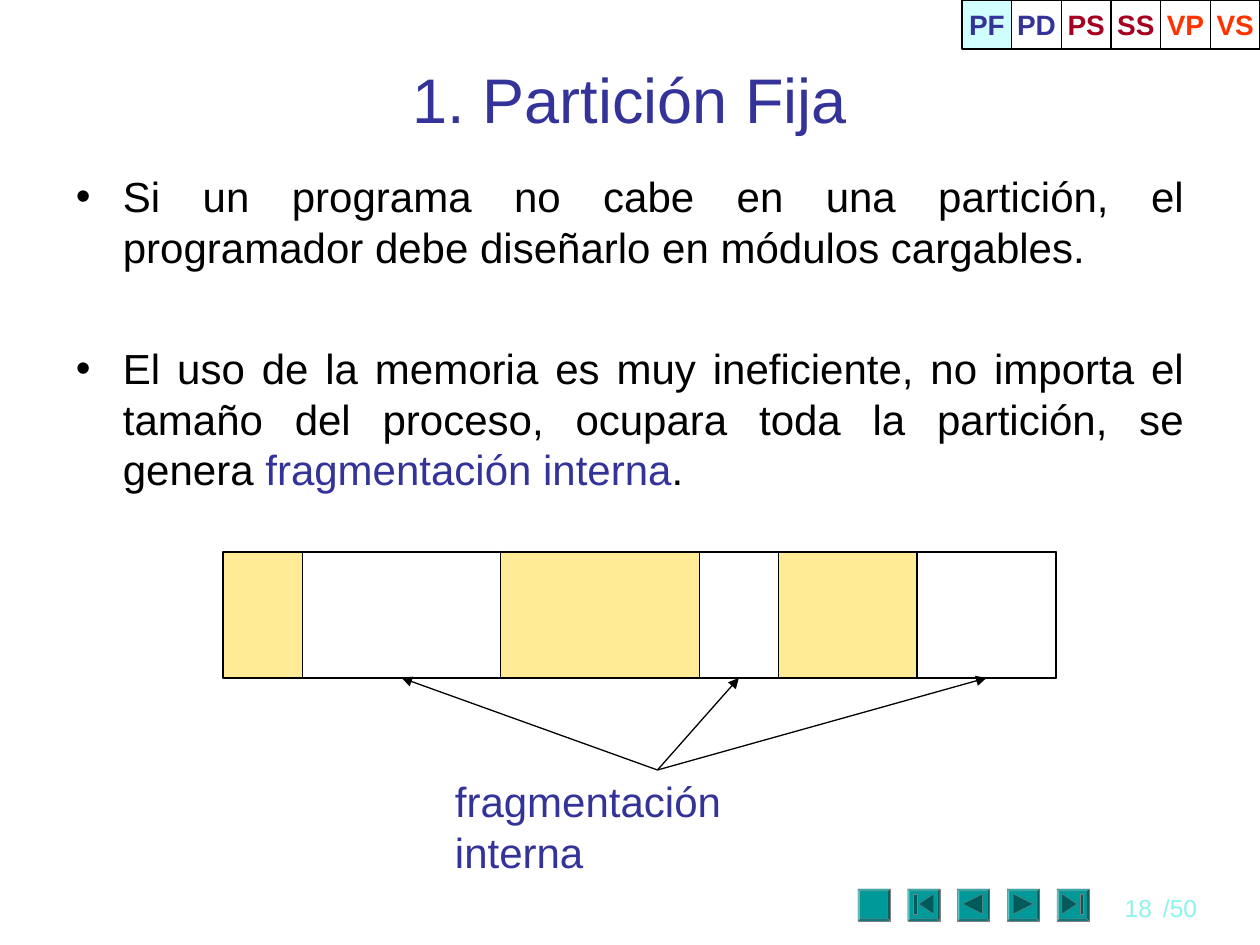
from copy import deepcopy

from lxml.etree import SubElement
from pptx import Presentation
from pptx.dml.color import RGBColor
from pptx.enum.shapes import MSO_CONNECTOR, MSO_SHAPE
from pptx.enum.text import MSO_ANCHOR, PP_ALIGN
from pptx.oxml.ns import qn
from pptx.util import Pt

SCALE = 914400 / 126  # EMU per px
BLACK = RGBColor(0x00, 0x00, 0x00)
WHITE = RGBColor(0xFF, 0xFF, 0xFF)
INDIGO = RGBColor(0x33, 0x33, 0x99)
CRIMSON = RGBColor(0xA5, 0x00, 0x21)
ORANGE = RGBColor(0xFF, 0x33, 0x00)
YELLOW = RGBColor(0xFF, 0xEB, 0x95)
PALE_CYAN = RGBColor(0xD1, 0xFF, 0xFF)
TEAL = RGBColor(0x00, 0x99, 0x99)
GREY = RGBColor(0x80, 0x80, 0x80)
AQUA = RGBColor(0x8C, 0xF4, 0xEA)

INSETS = {"margin_left": 13, "margin_right": 13, "margin_top": 6, "margin_bottom": 6}
TITLE_INSETS = dict.fromkeys(INSETS, 5)

TABS = [("PF", INDIGO), ("PD", INDIGO), ("PS", CRIMSON),
        ("SS", CRIMSON), ("VP", ORANGE), ("VS", ORANGE)]
POINTS = [
    [("Si un programa no cabe en una partición, el programador debe "
      "diseñarlo en módulos cargables.", BLACK)],
    [("El uso de la memoria es muy ineficiente, no importa el tamaño del "
      "proceso, ocupara toda la partición, se genera ", BLACK),
     ("fragmentación interna", INDIGO), (".", BLACK)],
]
FREE_WIDTHS = [198, 79, 139]  # unused end of each partition

# Button icons, as outlines inside a 32 px square
ICONS = [
    [],
    [[(11, 15), (26, 5), (26, 25)], [(6, 5), (9, 5), (9, 25), (6, 25)]],
    [[(5, 15), (25, 5), (25, 25)]],
    [[(6, 5), (26, 15), (6, 25)]],
    [[(20, 15), (5, 25), (5, 5)], [(23, 5), (23, 25), (26, 25), (26, 5)]],
]


def px(length):
    return round(length * SCALE)


def set_all(target, values):
    for name, value in values.items():
        setattr(target, name, value)


def paint(shape, fill, line, width):
    shape.shadow.inherit = False
    shape.fill.solid()
    shape.fill.fore_color.rgb = fill
    shape.line.color.rgb = line
    shape.line.width = Pt(width)


def add_rect(slide, box, fill):
    rect = slide.shapes.add_shape(MSO_SHAPE.RECTANGLE, *map(px, box))
    paint(rect, fill, BLACK, 0.75)
    return rect


def add_run(paragraph, text, size, color, bold=False):
    run = paragraph.add_run()
    run.text = text
    set_all(run.font, {"name": "Arial", "size": Pt(size), "bold": bold})
    run.font.color.rgb = color


def set_frame(frame, insets=INSETS, **values):
    set_all(frame, {side: px(inset) for side, inset in insets.items()})
    set_all(frame, values)


def add_label(slide, box, text, size, color, align=PP_ALIGN.LEFT,
              insets=INSETS, **values):
    label = slide.shapes.add_textbox(*map(px, box))
    set_frame(label.text_frame, insets, **values)
    paragraph = label.text_frame.paragraphs[0]
    paragraph.alignment = align
    add_run(paragraph, text, size, color)
    return label


def add_tabs(slide, left, top, width, height):
    step = width / len(TABS)
    for i, (name, color) in enumerate(TABS):
        tab = add_rect(slide, (left + i * step, top, step, height),
                       WHITE if i else PALE_CYAN)
        set_frame(tab.text_frame, word_wrap=False, vertical_anchor=MSO_ANCHOR.MIDDLE)
        paragraph = tab.text_frame.paragraphs[0]
        paragraph.alignment = PP_ALIGN.CENTER
        add_run(paragraph, name, 16, color, bold=True)


def add_points(slide, *box):
    frame = slide.shapes.add_textbox(*map(px, box)).text_frame
    set_frame(frame, word_wrap=True)
    for i, runs in enumerate(POINTS):
        paragraph = frame.add_paragraph() if i else frame.paragraphs[0]
        set_all(paragraph, {"alignment": PP_ALIGN.JUSTIFY,
                            "line_spacing": Pt(28.7),
                            "space_before": Pt(41 if i else 0)})
        # Hanging bullet
        properties = paragraph._p.get_or_add_pPr()
        properties.set("marL", str(px(47)))
        properties.set("indent", str(-px(47)))
        SubElement(properties, qn("a:buFont"), typeface="Arial")
        SubElement(properties, qn("a:buChar"), char="•")
        for text, color in runs:
            add_run(paragraph, text, 24, color)


def add_arrow(slide, source, target):
    arrow = slide.shapes.add_connector(MSO_CONNECTOR.STRAIGHT, 0, 0, 0, 0)
    arrow.begin_connect(source, 0)
    arrow.end_connect(target, 2)
    arrow.line.color.rgb = BLACK
    arrow.line.width = Pt(0.75)
    SubElement(arrow.line._get_or_add_ln(), qn("a:tailEnd"), type="triangle")
    SubElement(arrow._element.spPr, qn("a:effectLst"))


def add_memory(slide, left, top, width, height):
    bar_height = 126
    step = width / len(FREE_WIDTHS)
    for i in range(len(FREE_WIDTHS)):
        add_rect(slide, (left + i * step, top, step, bar_height), YELLOW)
    free_areas = [
        add_rect(slide, (left + (i + 1) * step - free, top, free, bar_height), WHITE)
        for i, free in enumerate(FREE_WIDTHS)]
    caption = add_label(slide, (left + 219, top + height - 63, 431, 63),
                        "fragmentación interna", 24, INDIGO, word_wrap=False)
    for area in free_areas:
        add_arrow(slide, caption, area)


def add_button(slide, left, top, size, icon):
    edge = size - 2
    # Face, four bevel sides, then the icon, each with its own shade
    outlines = [
        ([(0, 0), (size, 0), (size, size), (0, size)], "norm"),
        ([(0, 0), (size, 0), (edge, 2), (2, 2)], "lightenLess"),
        ([(size, 0), (size, size), (edge, edge), (edge, 2)], "darken"),
        ([(size, size), (0, size), (2, edge), (edge, edge)], "darkenLess"),
        ([(0, size), (0, 0), (2, 2), (2, edge)], "lighten"),
    ] + [(points, "darken") for points in icon]
    builder = slide.shapes.build_freeform(0, 0, scale=SCALE)
    for i, (points, _) in enumerate(outlines):
        if i:
            builder.move_to(*points[0])
        builder.add_line_segments(points[1:], close=True)
    button = builder.convert_to_shape(px(left), px(top))
    paint(button, TEAL, GREY, 0.25)

    # Give every outline a path of its own, so that it can be shaded
    whole = next(button._element.iter(qn("a:path")))
    empty = deepcopy(whole)
    for step in list(empty):
        empty.remove(step)
    shades = iter(shade for _, shade in outlines)
    for step in list(whole):
        if step.tag == qn("a:moveTo"):
            part = deepcopy(empty)
            part.set("fill", next(shades))
            whole.getparent().append(part)
        part.append(step)
    whole.getparent().remove(whole)


def add_footer(slide, left, top, width, height):
    for i, icon in enumerate(ICONS):
        add_button(slide, left + i * 49.75, top + 2, 32, icon)
    add_label(slide, (left + 239, top, 68, height), "18", 14, AQUA,
              PP_ALIGN.RIGHT, word_wrap=True)
    add_label(slide, (left + width - 66, top, 66, height), "/50", 14, AQUA,
              word_wrap=True)


def main():
    deck = Presentation()
    deck.slide_width, deck.slide_height = px(1260), px(945)
    slide = deck.slides.add_slide(deck.slide_layouts[6])

    add_footer(slide, 858, 887, 358, 42)
    add_label(slide, (63, 55, 1134, 87), "1. Partición Fija", 36, INDIGO,
              PP_ALIGN.CENTER, TITLE_INSETS, word_wrap=True,
              vertical_anchor=MSO_ANCHOR.MIDDLE)
    add_points(slide, 63, 165, 1134, 348)
    add_memory(slide, 223, 552, 833, 281)
    add_tabs(slide, 962, 0, 298, 49)

    deck.save("out.pptx")


if __name__ == "__main__":
    main()
